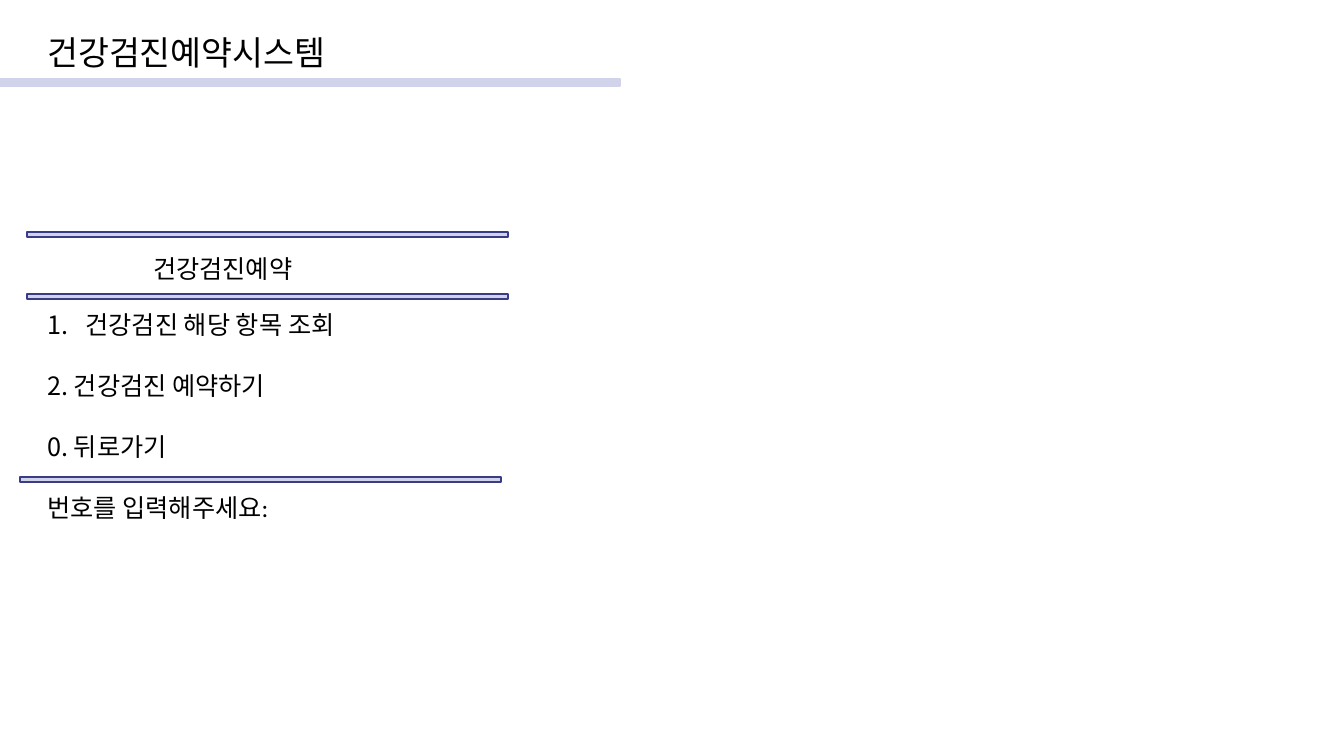
from lxml import etree
from pptx import Presentation
from pptx.dml.color import RGBColor
from pptx.enum import shapes, text
from pptx.oxml import ns
from pptx.util import Inches, Pt

CALIBRI = "Calibri"
NOTO = "Noto Sans CJK KR"
PALE = "D1D3EB"
NAVY = "3A3C84"


def color(fmt, code):
    fmt.rgb = RGBColor.from_string(code)


def add_bar(slide, left, top, width, height, edge):
    bar = slide.shapes.add_shape(
        shapes.MSO_SHAPE.FLOWCHART_PROCESS,
        Inches(left), Inches(top), Inches(width), Inches(height))
    bar.shadow.inherit = False
    bar.fill.solid()
    color(bar.fill.fore_color, PALE)
    color(bar.line.color, edge)
    bar.line.width = Pt(1.5)


def add_box(slide, left, top, width, height, inset=0.1):
    box = slide.shapes.add_textbox(
        Inches(left), Inches(top), Inches(width), Inches(height))
    frame = box.text_frame
    frame.word_wrap = True
    frame.auto_size = text.MSO_AUTO_SIZE.SHAPE_TO_FIT_TEXT
    frame.margin_left = Inches(inset)
    return frame


def add_run(para, words, size, font=CALIBRI):
    run = para.add_run()
    run.text = words
    run.font.size = Pt(size)
    run.font.name = font
    color(run.font.color, "000000")


def number(para):
    props = para._p.get_or_add_pPr()
    props.set("marL", str(Inches(0.38)))
    props.set("indent", str(-Inches(0.38)))
    mark = etree.SubElement(props, ns.qn("a:buAutoNum"))
    mark.set("type", "arabicPeriod")


def add_menu(slide):
    frame = add_box(slide, 0.37, 3.02, 8.22, 2.22)
    first = frame.paragraphs[0]
    number(first)
    add_run(first, "건강검진 해당 항목 조회", 18)
    for words, font in (("2. 건강검진 예약하기", NOTO),
                        ("0. 뒤로가기", NOTO),
                        ("번호를 입력해주세요:", CALIBRI)):
        para = frame.add_paragraph()
        para.space_before = Pt(22)
        add_run(para, words, 18, font)


def main():
    deck = Presentation()
    deck.slide_width = Inches(13.33)
    deck.slide_height = Inches(7.5)
    slide = deck.slides.add_slide(deck.slide_layouts[6])

    title = add_box(slide, 0.37, 0.27, 3.69, 0.5)
    add_run(title.paragraphs[0], "건강검진예약시스템", 24)
    add_menu(slide)
    head = add_box(slide, 0.85, 2.46, 3.47, 0.4, inset=0.67)
    add_run(head.paragraphs[0], "건강검진예약", 18)

    for left, top in ((0.27, 2.3), (0.27, 2.92), (0.2, 4.73)):
        add_bar(slide, left, top, 4.77, 0.05, NAVY)
    add_bar(slide, 0, 0.78, 6.15, 0.07, PALE)
    deck.save("out.pptx")


if __name__ == "__main__":
    main()
